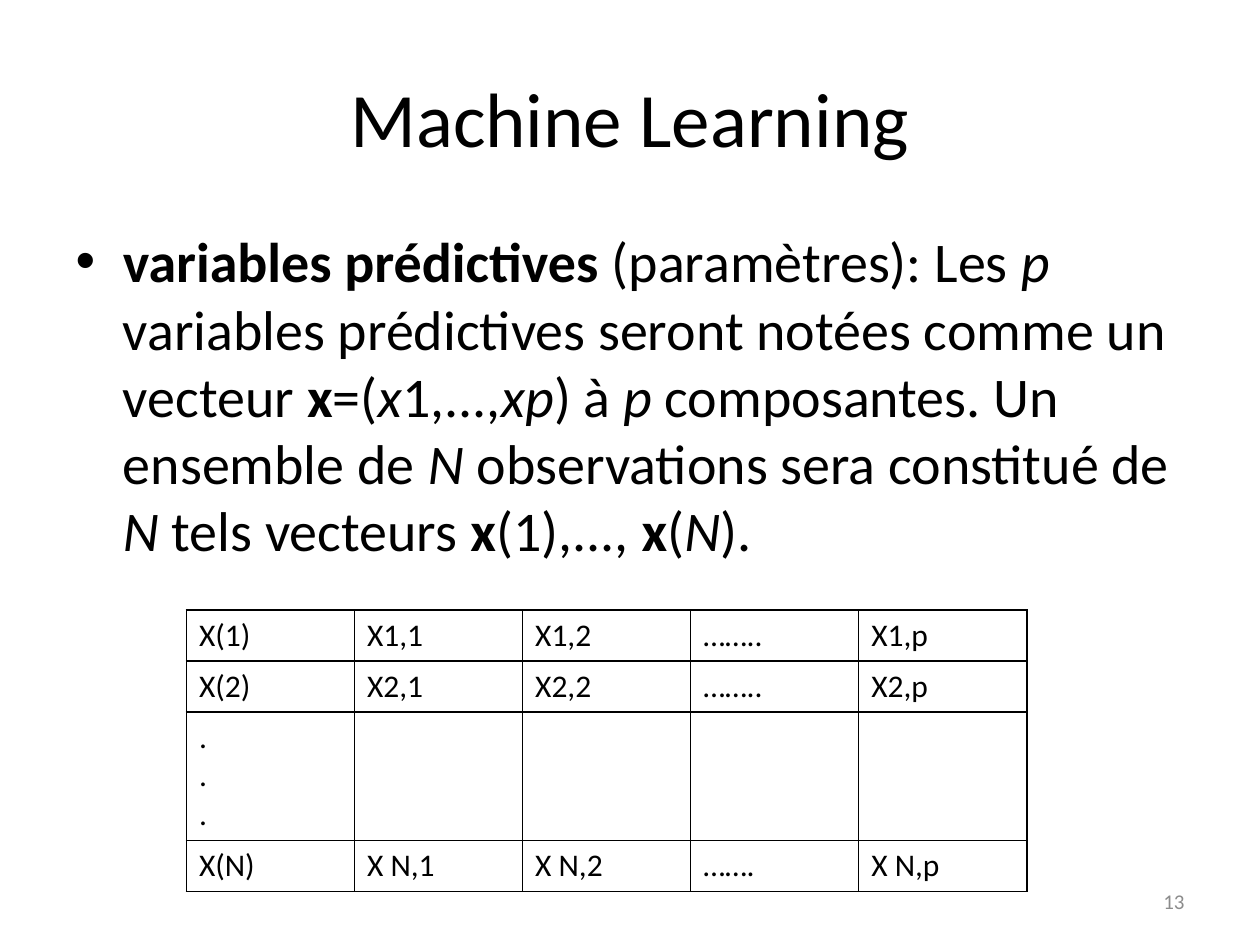
import pptx
import pptx.util
import pptx.dml.color
import pptx.enum.text
import pptx.oxml
import pptx.oxml.ns
from pptx.util import Inches

BLACK = pptx.dml.color.RGBColor(0x00, 0x00, 0x00)
GREY = pptx.dml.color.RGBColor(0x8C, 0x8C, 0x8C)
ALIGN = pptx.enum.text.PP_ALIGN
ANCHOR = pptx.enum.text.MSO_ANCHOR

# Each span is its text and its style: "" plain, "b" bold, "i" italic
DEFINITION = [
    ("variables prédictives ", "b"), ("(paramètres): Les ", ""), ("p ", "i"),
    ("variables prédictives seront notées comme un vecteur ", ""),
    ("x", "b"), ("=(", ""), ("x", "i"), ("1,...,", ""), ("xp", "i"),
    (") à ", ""), ("p ", "i"), ("composantes. Un ensemble de ", ""),
    ("N ", "i"), ("observations sera constitué de ", ""), ("N ", "i"),
    ("tels vecteurs ", ""), ("x", "b"), ("(1),..., ", ""), ("x", "b"),
    ("(", ""), ("N", "i"), (").", ""),
]
OBSERVATIONS = [
    ["X(1)", "X1,1", "X1,2", "……..", "X1,p"],
    ["X(2)", "X2,1", "X2,2", "……..", "X2,p"],
    [".\n.\n.", "", "", "", ""],
    ["X(N)", "X N,1", "X N,2", "…….", "X N,p"],
]
ROW_HEIGHTS = [0.4, 0.4, 1.02, 0.4]


def set_all(target, values):
    for name, value in values.items():
        setattr(target, name, value)


def place(shape, box):
    names = ("left", "top", "width", "height")
    set_all(shape, dict(zip(names, map(Inches, box))))


def format_font(font, size, color=BLACK, bold=False, italic=False):
    set_all(font, {"name": "Calibri", "size": pptx.util.Pt(size),
                   "bold": bold, "italic": italic})
    font.color.rgb = color


def write_line(shape, text, size, color, align):
    frame = shape.text_frame
    set_all(frame, {"text": text, "word_wrap": True,
                    "vertical_anchor": ANCHOR.MIDDLE,
                    "auto_size": pptx.enum.text.MSO_AUTO_SIZE.NONE})
    para = frame.paragraphs[0]
    para.alignment = align
    format_font(para.runs[0].font, size, color)


def add_title(page, box):
    place(page.shapes.title, box)
    write_line(page.shapes.title, "Machine Learning", 44, BLACK, ALIGN.CENTER)


def add_definition(page, box):
    body = page.placeholders[1]
    place(body, box)
    body.text_frame.auto_size = pptx.enum.text.MSO_AUTO_SIZE.NONE
    para = body.text_frame.paragraphs[0]
    para.space_before = pptx.util.Pt(0)
    for text, style in DEFINITION:
        span = para.add_run()
        span.text = text
        format_font(span.font, 32, bold=style == "b", italic=style == "i")


def add_borders(cell):
    properties = cell._tc.get_or_add_tcPr()
    for side in ("lnL", "lnR", "lnT", "lnB"):
        properties.append(pptx.oxml.parse_xml(
            f'<a:{side} {pptx.oxml.ns.nsdecls("a")} w="12700"><a:solidFill>'
            f'<a:srgbClr val="{BLACK}"/></a:solidFill></a:{side}>'))


def add_observations(page, box):
    table = page.shapes.add_table(
        len(OBSERVATIONS), len(OBSERVATIONS[0]), *map(Inches, box)).table
    set_all(table, {"first_row": False, "horz_banding": False})
    for row, height, texts in zip(table.rows, ROW_HEIGHTS, OBSERVATIONS):
        row.height = Inches(height)
        for cell, text in zip(row.cells, texts):
            cell.text = text
            add_borders(cell)
            cell.fill.background()
            for para in cell.text_frame.paragraphs:
                format_font(para.font, 18)
                for span in para.runs:
                    format_font(span.font, 18)


def add_page_number(page, box):
    number = page.shapes.add_textbox(*map(Inches, box))
    write_line(number, "13", 12, GREY, ALIGN.RIGHT)


def main():
    deck = pptx.Presentation()
    set_all(deck, {"slide_width": Inches(10), "slide_height": Inches(7.5)})
    page = deck.slides.add_slide(deck.slide_layouts[1])

    # Heading and definition
    add_title(page, (0.5, 0.3, 9, 1.25))
    add_definition(page, (0.5, 1.75, 9, 4.95))

    # Matrix of N observations by p variables, and footer
    add_observations(page, (1.48, 4.84, 6.67, sum(ROW_HEIGHTS)))
    add_page_number(page, (7.17, 6.95, 2.33, 0.4))
    deck.save("out.pptx")


if __name__ == "__main__":
    main()
